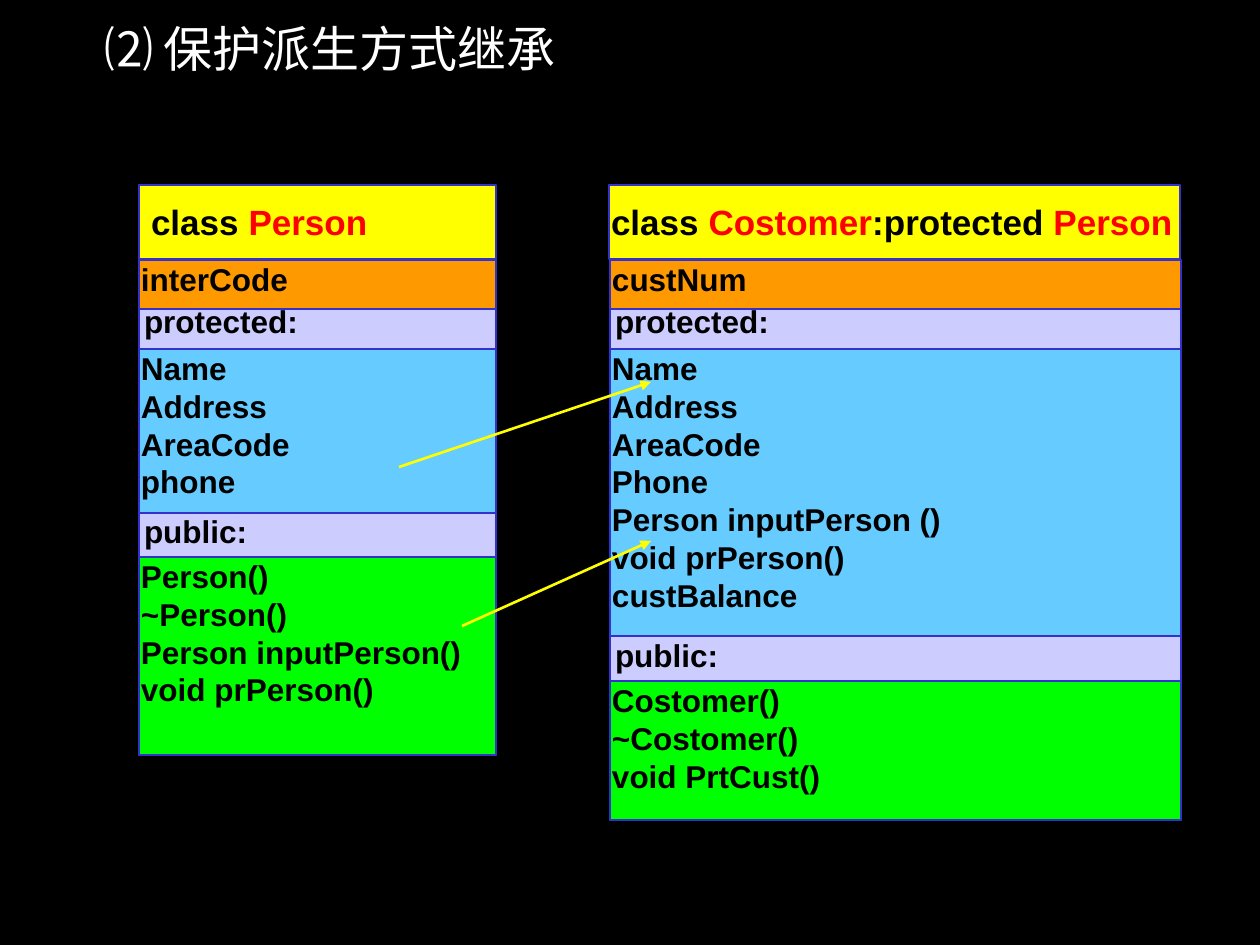
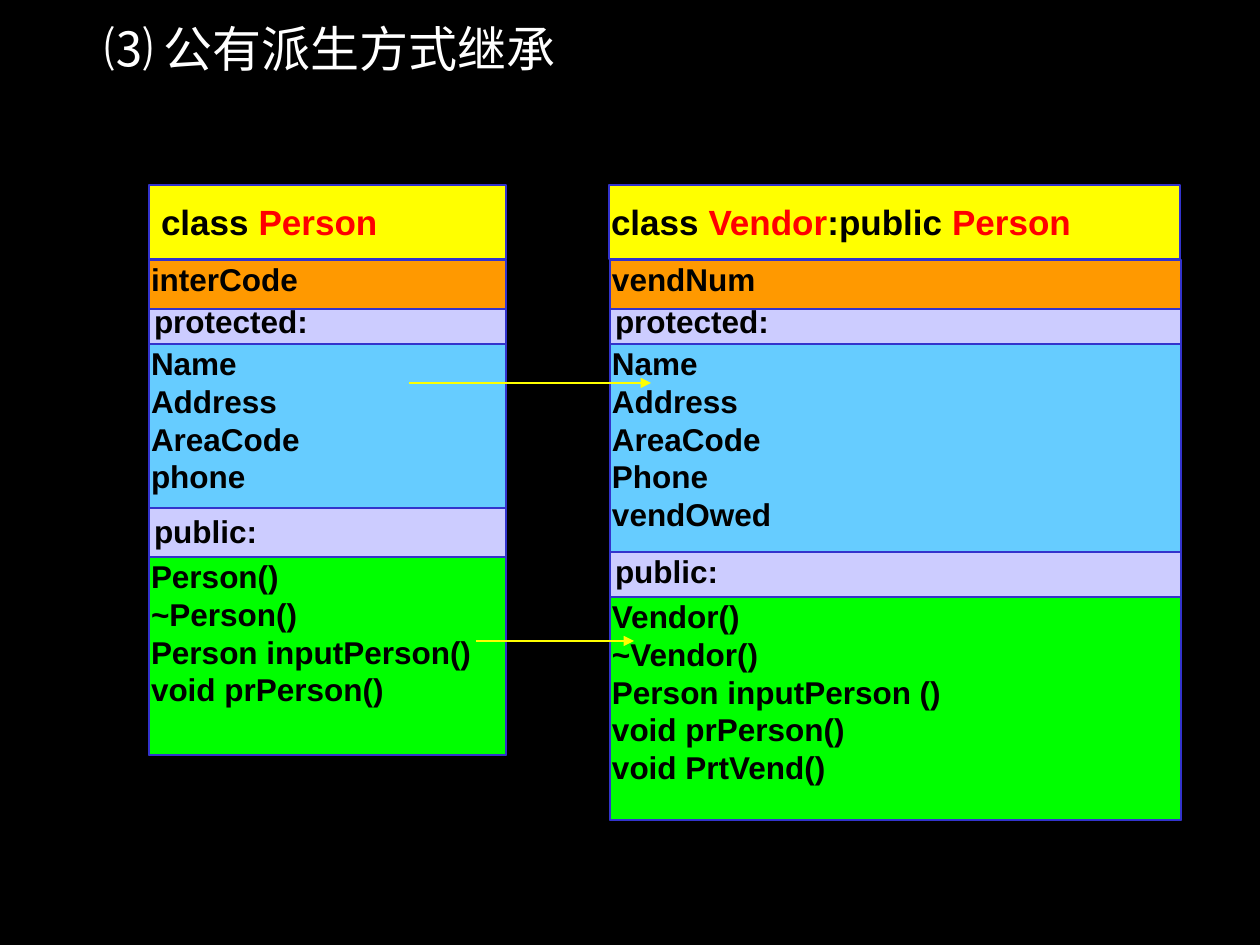
from dataclasses import dataclass

from lxml import etree
from pptx import Presentation
from pptx.dml.color import RGBColor
from pptx.enum.shapes import MSO_CONNECTOR as CONNECTOR
from pptx.enum.shapes import MSO_SHAPE as SHAPE
from pptx.enum.text import MSO_ANCHOR as ANCHOR
from pptx.enum.text import MSO_AUTO_SIZE as AUTO_SIZE
from pptx.enum.text import PP_ALIGN as ALIGN
from pptx.oxml.ns import qn
from pptx.util import Emu, Pt

EMU_PER_PX = 914400 / 126
FONT = "Arial"

BLACK, WHITE, RED = "000000", "FFFFFF", "FF0000"
BORDER, ARROW = "3333CC", "FFFF00"
HEADER_FILL, LABEL_FILL = "FFFF00", "CCCCFF"
PRIVATE_FILL, PROTECTED_FILL, PUBLIC_FILL = "FF9900", "66CCFF", "00FF00"

# Rows that every class diagram shares
HEADER_TOP, HEADER_HEIGHT = 185, 74
PRIVATE_TOP, PRIVATE_HEIGHT = 260, 49
LABEL_INSET = 42      # from the panel top to the "protected:" line
LINE_HEIGHT = 36
LABEL_RISE = 47       # from the "public:" line top to the public members

PERSON_PROTECTED = ["Name", "Address", "AreaCode", "phone"]
PERSON_PUBLIC = ["Person()", "~Person()", "Person inputPerson()", "void prPerson()"]


@dataclass
class ClassDiagram:
    left: int
    width: int
    header: list          # black and red spans in turn
    header_inset: int
    header_shift: int
    private: str
    protected: list
    protected_top: int
    protected_height: int
    public: list
    public_top: int
    bottom: int


def px(length):
    return Emu(round(length * EMU_PER_PX))


def color(value):
    return RGBColor.from_string(value)


def set_insets(frame, left=0, top=0):
    frame.margin_left, frame.margin_top = px(left), px(top)
    frame.margin_right = frame.margin_bottom = 0


def style_font(font, size, text_color, bold=True):
    font.name, font.size, font.bold = FONT, Pt(size), bold
    font.color.rgb = color(text_color)


def add_box(page, left, top, width, height, fill, line_width):
    box = page.shapes.add_shape(SHAPE.RECTANGLE, px(left), px(top), px(width), px(height))
    box.shadow.inherit = False
    box.fill.solid()
    box.fill.fore_color.rgb = color(fill)
    box.line.color.rgb = color(BORDER)
    box.line.width = Pt(line_width)
    box.text_frame.word_wrap = True
    return box


def write_lines(box, lines, left=2, top=0, gap=0):
    frame = box.text_frame
    frame.vertical_anchor = ANCHOR.TOP
    set_insets(frame, left, top)
    for index, line in enumerate(lines):
        para = frame.add_paragraph() if index else frame.paragraphs[0]
        para.text = line
        para.alignment = ALIGN.JUSTIFY
        para.space_before = px(gap) if index else Pt(0)
        style_font(para.font, 18, BLACK)


def write_header(box, spans, inset):
    frame = box.text_frame
    frame.vertical_anchor = ANCHOR.MIDDLE
    set_insets(frame, inset)
    para = frame.paragraphs[0]
    para.alignment = ALIGN.LEFT
    for index, text in enumerate(spans):
        span = para.add_run()
        span.text = text
        style_font(span.font, 20, RED if index % 2 else BLACK)


def add_class(page, diagram, line_width):
    def band(top, height, fill, shift=0):
        return add_box(page, diagram.left + shift, top, diagram.width, height, fill, line_width)

    # Back panel with the access labels
    panel = band(PRIVATE_TOP, diagram.bottom - PRIVATE_TOP, LABEL_FILL)
    label_gap = diagram.public_top - LABEL_RISE - PRIVATE_TOP - LABEL_INSET - LINE_HEIGHT
    write_lines(panel, ["protected:", "public:"], left=5, top=LABEL_INSET, gap=label_gap)

    # Member bands
    write_lines(band(PRIVATE_TOP, PRIVATE_HEIGHT, PRIVATE_FILL), [diagram.private])
    write_lines(band(diagram.protected_top, diagram.protected_height, PROTECTED_FILL),
                diagram.protected)
    write_lines(band(diagram.public_top, diagram.bottom - diagram.public_top, PUBLIC_FILL),
                diagram.public)

    # Class name
    header = band(HEADER_TOP, HEADER_HEIGHT, HEADER_FILL, diagram.header_shift)
    write_header(header, diagram.header, diagram.header_inset)


def add_arrow(page, start, end, line_width):
    arrow = page.shapes.add_connector(CONNECTOR.STRAIGHT, *map(px, start + end))
    arrow.line.color.rgb = color(ARROW)
    arrow.line.width = Pt(line_width)
    etree.SubElement(arrow.line._get_or_add_ln(), qn("a:tailEnd"), type="triangle")
    etree.SubElement(arrow._element.spPr, qn("a:effectLst"))


def add_title(page, text):
    title = page.shapes.title
    title.left, title.top, title.width, title.height = map(px, (104, 18, 1100, 80))
    frame = title.text_frame
    frame.auto_size = AUTO_SIZE.NONE
    frame.vertical_anchor = ANCHOR.TOP
    set_insets(frame)
    para = frame.paragraphs[0]
    para.text = text
    para.alignment = ALIGN.LEFT
    style_font(para.font, 28, WHITE, bold=False)


def person(left, protected_top):
    return ClassDiagram(left, 357, ["class ", "Person"], 12, 0, "interCode",
                        PERSON_PROTECTED, protected_top, 164, PERSON_PUBLIC, 557, 755)


def derived(header, private, protected, protected_top, protected_height, public, public_top):
    return ClassDiagram(610, 571, header, 2, -1, private, protected, protected_top,
                        protected_height, public, public_top, 820)


def add_inheritance_slide(deck, title, classes, arrows, line_width):
    page = deck.slides.add_slide(deck.slide_layouts[5])
    add_title(page, title)
    for diagram in classes:
        add_class(page, diagram, line_width)
    for start, end in arrows:
        add_arrow(page, start, end, line_width)


def main():
    deck = Presentation()
    deck.slide_width, deck.slide_height = px(1260), px(945)
    background = deck.slide_master.background.fill
    background.solid()
    background.fore_color.rgb = color(BLACK)

    # Protected inheritance
    customer = derived(
        ["class ", "Costomer", ":protected ", "Person"], "custNum",
        ["Name", "Address", "AreaCode", "Phone", "Person inputPerson ()",
         "void prPerson()", "custBalance"], 349, 287,
        ["Costomer()", "~Costomer()", "void PrtCust()"], 681)
    add_inheritance_slide(deck, "⑵ 保护派生方式继承", [person(139, 349), customer],
                          [((399, 467), (651, 382)), ((462, 626), (651, 541))], 1.5)

    # Public inheritance
    vendor = derived(
        ["class ", "Vendor", ":public ", "Person"], "vendNum",
        ["Name", "Address", "AreaCode", "Phone", "vendOwed"], 344, 208,
        ["Vendor()", "~Vendor()", "Person inputPerson ()", "void prPerson()",
         "void PrtVend()"], 597)
    add_inheritance_slide(deck, "⑶ 公有派生方式继承", [person(149, 344), vendor],
                          [((409, 383), (651, 383)), ((476, 641), (634, 641))], 1)

    deck.save("out.pptx")


if __name__ == "__main__":
    main()
